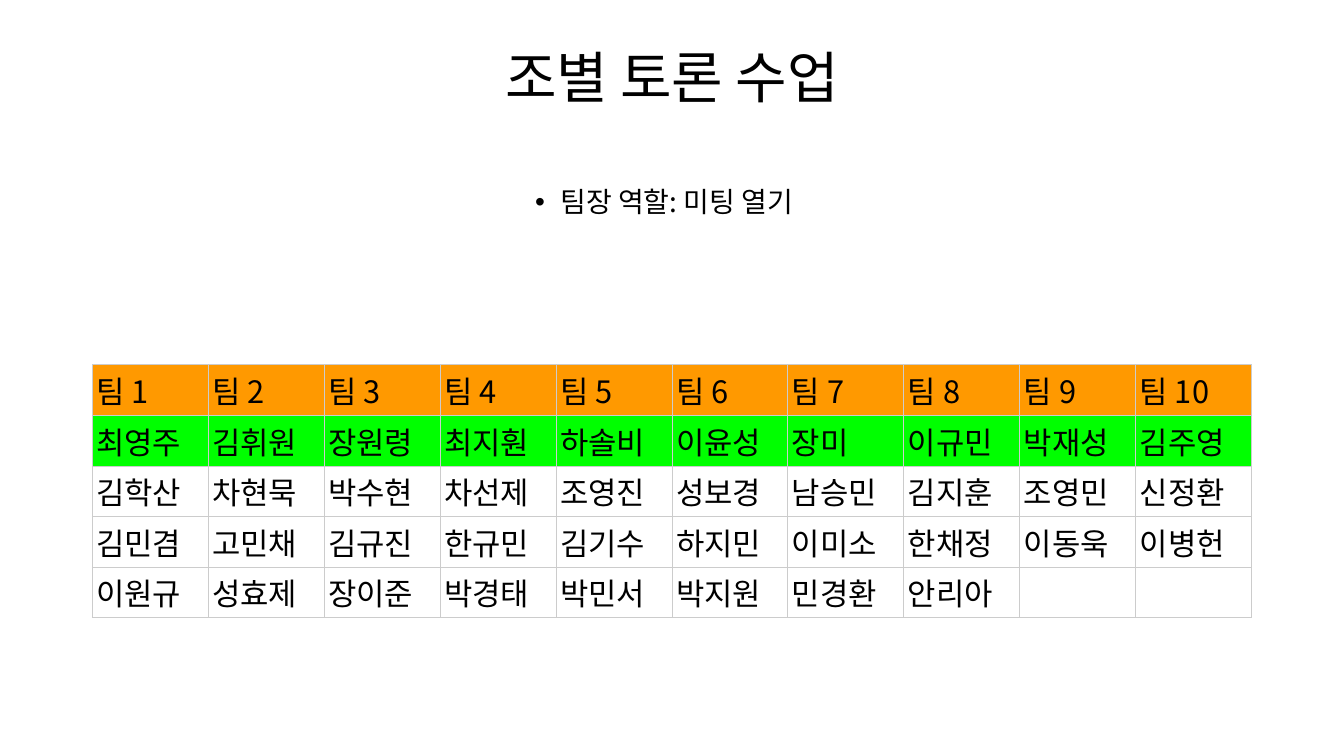
from lxml import etree
from pptx import Presentation
from pptx.dml.color import RGBColor
from pptx.enum.text import MSO_ANCHOR, MSO_AUTO_SIZE, PP_ALIGN
from pptx.oxml.ns import qn
from pptx.util import Inches, Pt

CENTER = PP_ALIGN.CENTER
MIDDLE, BOTTOM = MSO_ANCHOR.MIDDLE, MSO_ANCHOR.BOTTOM
NO_AUTOFIT = MSO_AUTO_SIZE.NONE

WIDTH, HEIGHT = 13.33, 7.5
FONT = "Noto Sans CJK KR"
COLORS = {"text": "000000", "header": "FF9900", "leader": "00FF00",
          "member": "FFFFFF", "border": "CCCCCC"}

LEADERS = "최영주 김휘원 장원령 최지훤 하솔비 이윤성 장미 이규민 박재성 김주영"
MEMBERS = ["김학산 차현묵 박수현 차선제 조영진 성보경 남승민 김지훈 조영민 신정환",
           "김민겸 고민채 김규진 한규민 김기수 하지민 이미소 한채정 이동욱 이병헌",
           "이원규 성효제 장이준 박경태 박민서 박지원 민경환 안리아"]
TEAM_COUNT = 10


def style_runs(paragraph, size):
    for run in paragraph.runs:
        run.font.size = Pt(size)
        run.font.name = FONT
        run.font.color.rgb = RGBColor.from_string(COLORS["text"])
        east_asian = etree.SubElement(run.font._element, qn("a:ea"))
        east_asian.set("typeface", FONT)


def fill_placeholder(shape, box, text, size):
    """Place a placeholder in its box and centre one line of text in it."""
    shape.left, shape.top, shape.width, shape.height = map(Inches, box)
    frame = shape.text_frame
    frame.text = text
    frame.word_wrap = True
    frame.auto_size = NO_AUTOFIT
    frame.vertical_anchor = MIDDLE
    paragraph = frame.paragraphs[0]
    paragraph.alignment = CENTER
    paragraph.line_spacing = 0.9
    paragraph.space_before = Pt(0)
    style_runs(paragraph, size)
    return paragraph


def add_role_bullet(shape, box):
    paragraph = fill_placeholder(shape, box, "팀장 역할: 미팅 열기", 20)
    paragraph.space_after = Pt(6)
    properties = paragraph._p.get_or_add_pPr()
    properties.set("marL", "0")
    properties.set("indent", str(-Inches(0.25)))
    etree.SubElement(properties, qn("a:buFont")).set("typeface", "Arial")
    etree.SubElement(properties, qn("a:buChar")).set("char", "•")


def add_borders(cell):
    properties = cell._tc.get_or_add_tcPr()
    for index, side in enumerate(("lnL", "lnR", "lnT", "lnB")):
        line = etree.Element(qn("a:" + side), w=str(Pt(0.75)))
        fill = etree.SubElement(line, qn("a:solidFill"))
        etree.SubElement(fill, qn("a:srgbClr")).set("val", COLORS["border"])
        properties.insert(index, line)


def add_team_table(slide, box):
    """One column per team: header, leader, then members."""
    header = [f"팀 {number}" for number in range(1, TEAM_COUNT + 1)]
    rows = [header, LEADERS.split()] + [names.split() for names in MEMBERS]
    fills = ["header", "leader"] + ["member"] * len(MEMBERS)
    table = slide.shapes.add_table(len(rows), TEAM_COUNT, *map(Inches, box)).table
    table.first_row = table.horz_banding = False
    for row_index, (names, fill) in enumerate(zip(rows, fills)):
        for column in range(TEAM_COUNT):
            cell = table.cell(row_index, column)
            cell.margin_left = cell.margin_right = Inches(0.04)
            cell.margin_top = cell.margin_bottom = Inches(0.03)
            cell.vertical_anchor = BOTTOM
            cell.fill.solid()
            cell.fill.fore_color.rgb = RGBColor.from_string(COLORS[fill])
            add_borders(cell)
            if column < len(names):
                cell.text = names[column]
                style_runs(cell.text_frame.paragraphs[0], 22)


def build_team_slide(presentation):
    slide = presentation.slides.add_slide(presentation.slide_layouts[1])
    title, body = slide.placeholders
    text_left, text_width = 1.1, WIDTH - 2 * 1.1
    fill_placeholder(title, (text_left, 0.19, text_width, 1.22), "조별 토론 수업", 40)
    add_role_bullet(body, (text_left, 1.6, text_width, 0.84))
    table_width = 1.15 * TEAM_COUNT
    add_team_table(slide, ((WIDTH - table_width) / 2, 3.62, table_width, 2.29))


presentation = Presentation()
presentation.slide_width = Inches(WIDTH)
presentation.slide_height = Inches(HEIGHT)
build_team_slide(presentation)
presentation.save("out.pptx")
